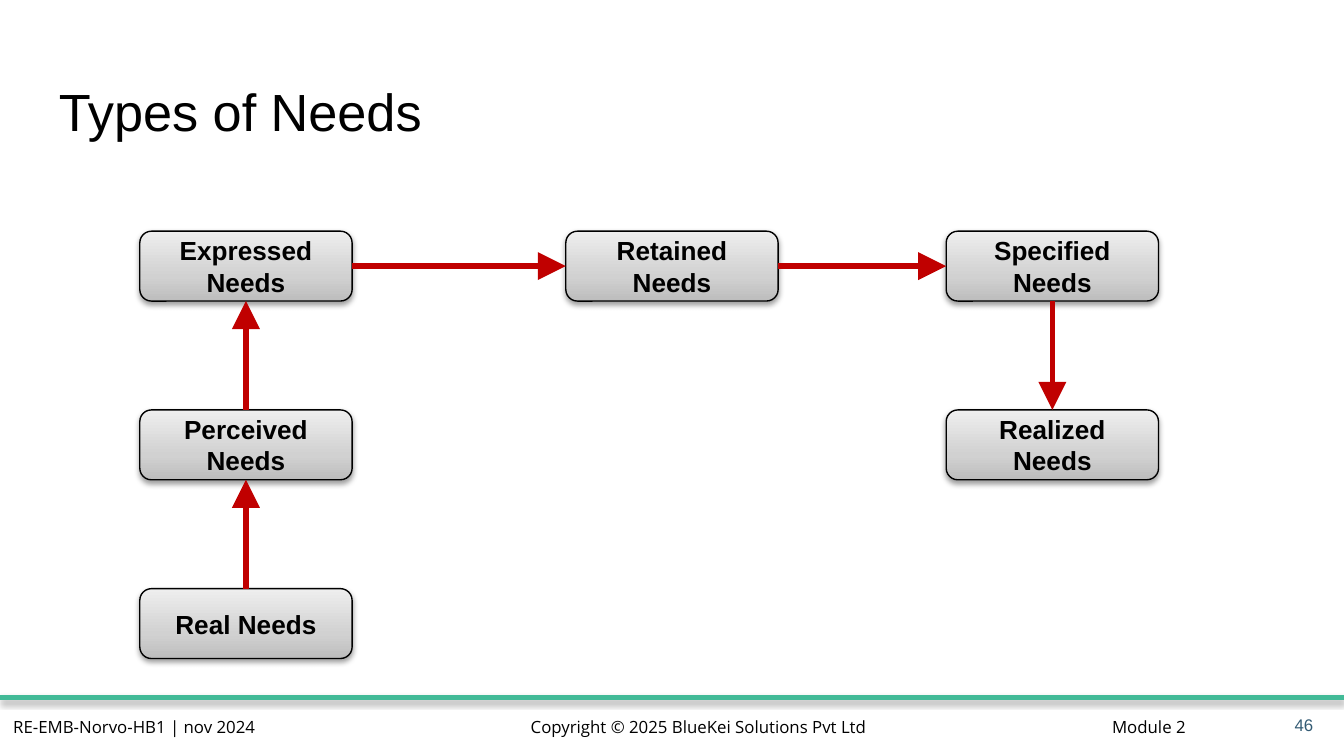
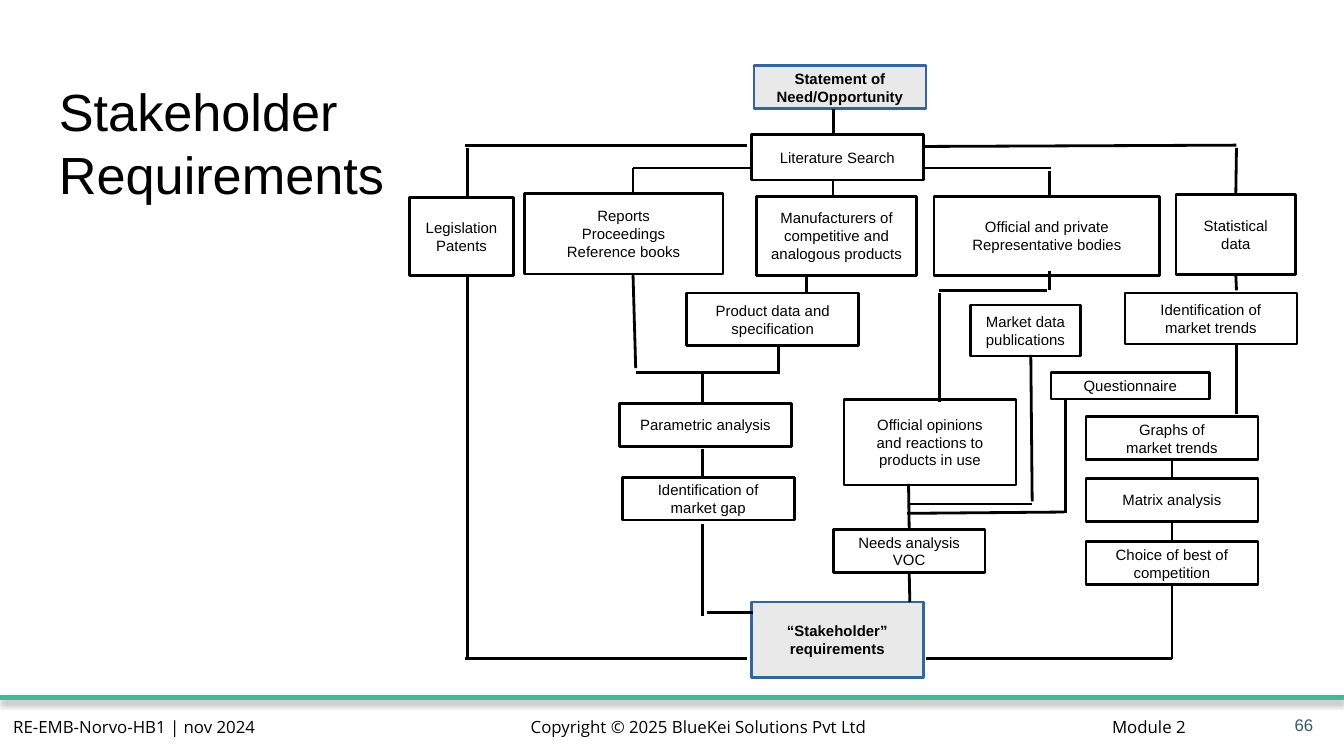
from copy import deepcopy
from lxml.etree import SubElement as Sub
from pptx import Presentation as Deck
from pptx.dml.color import RGBColor as Rgb
from pptx.enum.shapes import MSO_CONNECTOR as Wire, MSO_SHAPE as Form
from pptx.enum.text import MSO_ANCHOR as Anchor, PP_ALIGN as Align
from pptx.oxml.ns import qn
from pptx.util import Pt

PX = 9144
WIDE = 1000
BLACK, GREEN, RED, BLUE = "000000", "42BA97", "C00000", "336699"
SILVER, SLATE = "C0C0C0", "335B74"
FADE = [(0, "BDBDBD"), (0.35, "D1D1D1"), (1, "EEEEEE")]
SANS, OPEN = "Arial", "Open Sans"

NEEDS = [
    ("Expressed Needs", 104, 172),
    ("Perceived Needs", 104, 305),
    ("Real Needs", 104, 438),
    ("Retained Needs", 421, 172),
    ("Specified Needs", 704, 172),
    ("Realized Needs", 704, 305),
]
ARROWS = [
    (183, 305, 183, 224),
    (183, 438, 183, 357),
    (262, 198, 421, 198),
    (579, 198, 704, 198),
    (783, 224, 783, 305),
]

ENDS = [
    ("Statement of\nNeed/Opportunity", 561, 49, 128, 32),
    ("“Stakeholder”\nrequirements", 559, 448, 128, 56),
]
STEPS = [
    ("Literature Search", 559, 100, 128, 34),
    ("Legislation\nPatents", 305, 147, 77, 58),
    ("Reports\nProceedings\nReference books", 390, 144, 148, 60),
    ("Manufacturers of\ncompetitive and\nanalogous products", 563, 146, 119, 59),
    ("Official and private\nRepresentative bodies", 695, 146, 168, 59),
    ("Statistical\ndata", 875, 145, 89, 59),
    ("Product data and\nspecification", 511, 218, 128, 39),
    ("Market data\npublications", 722, 227, 82, 38),
    ("Identification of\nmarket trends", 837, 218, 128, 38),
    ("Questionnaire", 782, 277, 118, 20),
    ("Parametric analysis", 461, 300, 128, 32),
    ("Official opinions\nand reactions to\nproducts in use", 628, 297, 128, 64),
    ("Graphs of\nmarket trends", 808, 310, 128, 32),
    ("Identification of\nmarket gap", 463, 355, 128, 32),
    ("Matrix analysis", 808, 356, 128, 32),
    ("Needs analysis\nVOC", 620, 394, 113, 32),
    ("Choice of best of\ncompetition", 808, 403, 128, 32),
]
LINES = [
    (348, 206, 348, 491), (346, 490, 556, 490),
    (872, 435, 872, 490), (872, 490, 689, 490),
    (620, 81, 620, 100), (556, 108, 346, 108),
    (348, 110, 348, 147), (920, 108, 687, 109),
    (920, 110, 920, 145), (920, 204, 920, 216),
    (523, 390, 523, 458), (526, 456, 560, 456),
    (559, 125, 471, 125), (471, 125, 471, 143),
    (686, 125, 782, 125), (781, 127, 781, 146),
    (523, 334, 523, 356), (471, 204, 473, 274),
    (579, 257, 579, 277), (473, 277, 580, 277),
    (523, 278, 523, 300), (781, 202, 781, 216),
    (676, 360, 676, 394), (677, 426, 677, 448),
    (872, 342, 872, 356), (872, 388, 872, 403),
    (920, 256, 920, 308), (793, 298, 793, 382),
    (792, 381, 675, 382), (768, 375, 676, 375),
    (767, 264, 768, 373), (779, 216, 699, 216),
    (699, 218, 699, 299), (600, 206, 600, 218),
]


def px(*nums):
    """Turn px lengths into EMU."""
    return [n * PX for n in nums]


def hue(code):
    """Turn a hex string into a colour."""
    return Rgb.from_string(code)


def shade(list_, alpha, dist):
    """Put a soft shadow below the owner of an effect list."""
    drop = Sub(list_, qn("a:outerShdw"), blurRad=str(Pt(3.1)),
               dist=str(Pt(dist)), dir="5400000", algn="ctr", rotWithShape="0")
    tint = Sub(drop, qn("a:srgbClr"), val=BLACK)
    Sub(tint, qn("a:alpha"), val=str(alpha * 1000))


def write(shape, text, size=9, font=SANS, color=BLACK, bold=False,
          align=Align.LEFT, anchor=Anchor.MIDDLE, wrap=True):
    """Fill a shape with formatted text, one paragraph a line."""
    frame = shape.text_frame
    frame.word_wrap, frame.vertical_anchor = wrap, anchor
    frame.text = text
    for para in frame.paragraphs:
        para.alignment = align
        for run in para.runs:
            face = run.font
            face.size, face.name, face.bold = Pt(size), font, bold
            face.color.rgb = hue(color)


def label(slide, text, *area, **style):
    """Add a text box with even margins."""
    box = slide.shapes.add_textbox(*px(*area))
    frame = box.text_frame
    frame.margin_left = frame.margin_right = 10 * PX
    frame.margin_top = frame.margin_bottom = 10 * PX
    write(box, text, **style)


def block(slide, form, area, color, width):
    """Add an unfilled outlined shape."""
    box = slide.shapes.add_shape(form, *px(*area))
    box.shadow.inherit = False
    box.fill.background()
    box.line.color.rgb, box.line.width = hue(color), Pt(width)
    return box


def need(slide, text, left, top):
    """Add a rounded grey box with a gradient and a shadow."""
    box = block(slide, Form.ROUNDED_RECTANGLE, (left, top, 158, 52), BLACK, 0.75)
    box.fill.gradient()
    box.fill.gradient_angle = 90
    props = box._element.spPr
    stops = props.find(".//" + qn("a:gsLst"))
    stops.append(deepcopy(stops[0]))
    for stop, (pos, code) in zip(box.fill.gradient_stops, FADE):
        stop.position, stop.color.rgb = pos, hue(code)
    shade(props.find(qn("a:effectLst")), 38, 1.6)
    write(box, text, size=14, bold=True, align=Align.CENTER)
    return box


def step(slide, text, *area, end=False):
    """Add a flow chart box, tinted and bold at either end."""
    box = block(slide, Form.RECTANGLE, area, BLUE if end else BLACK, 1.5)
    if end:
        box.fill.solid()
        box.fill.fore_color.rgb = hue(SILVER)
        tint = box._element.spPr.find(qn("a:solidFill"))[0]
        Sub(tint, qn("a:alpha"), val="35000")
    write(box, text, size=8, bold=end, align=Align.CENTER, wrap=False)
    return box


def side(boxes, x, y):
    """Find the box and side whose middle lies at a point."""
    for box in boxes:
        left, top, wide, high = box.left, box.top, box.width, box.height
        spots = [(left + wide / 2, top), (left, top + high / 2),
                 (left + wide / 2, top + high), (left + wide, top + high / 2)]
        for site, (a, b) in enumerate(spots):
            if max(abs(a - x), abs(b - y)) <= PX:
                return box, site
    return None


def wire(slide, ends, color=BLACK, width=1.5, boxes=(), head=False):
    """Add a line, joined to the boxes it meets; give its effect list."""
    x, y, u, v = px(*ends)
    line = slide.shapes.add_connector(Wire.STRAIGHT, x, y, u, v)
    line.line.color.rgb, line.line.width = hue(color), Pt(width)
    if head:
        Sub(line.line._get_or_add_ln(), qn("a:tailEnd"),
            type="triangle", w="lg", len="lg")
    start, stop = side(boxes, x, y), side(boxes, u, v)
    if start:
        line.begin_connect(*start)
    if stop:
        line.end_connect(*stop)
    return Sub(line._element.spPr, qn("a:effectLst"))


def page(deck, title, num):
    """Add a slide with its title, green rule and footer."""
    slide = deck.slides.add_slide(deck.slide_layouts[6])
    label(slide, "Copyright © 2025 BlueKei Solutions Pvt Ltd",
          382, 521, 272, 40, font=OPEN, align=Align.RIGHT)
    label(slide, "RE-EMB-Norvo-HB1 | nov 2024", 0, 521, 237, 40, font=OPEN)
    shade(wire(slide, (0, 519, WIDE, 519), GREEN, 3), 35, 1.8)
    label(slide, "Module 2", 655, 521, 237, 40, font=OPEN, align=Align.RIGHT)
    label(slide, title, 34, 49, 932, 63, size=28, anchor=Anchor.TOP)
    label(slide, str(num), 927, 518, 60, 43, color=SLATE, align=Align.RIGHT)
    return slide


def types(deck):
    """Build the slide on types of needs."""
    slide = page(deck, "Types of Needs", 46)
    boxes = [need(slide, *row) for row in NEEDS]
    for ends in ARROWS:
        wire(slide, ends, RED, 3, boxes, head=True)


def flow(deck):
    """Build the slide on stakeholder requirements."""
    slide = page(deck, "Stakeholder\vRequirements", 66)
    boxes = [step(slide, *row, end=True) for row in ENDS]
    boxes += [step(slide, *row) for row in STEPS]
    for ends in LINES:
        wire(slide, ends, boxes=boxes)
    wire(slide, (620, 134, 620, 147), width=1)


def main():
    """Build and save the deck."""
    deck = Deck()
    deck.slide_width = WIDE * PX
    deck.slide_height = deck.slide_width * 9 // 16
    types(deck)
    flow(deck)
    deck.save("out.pptx")


if __name__ == "__main__":
    main()
